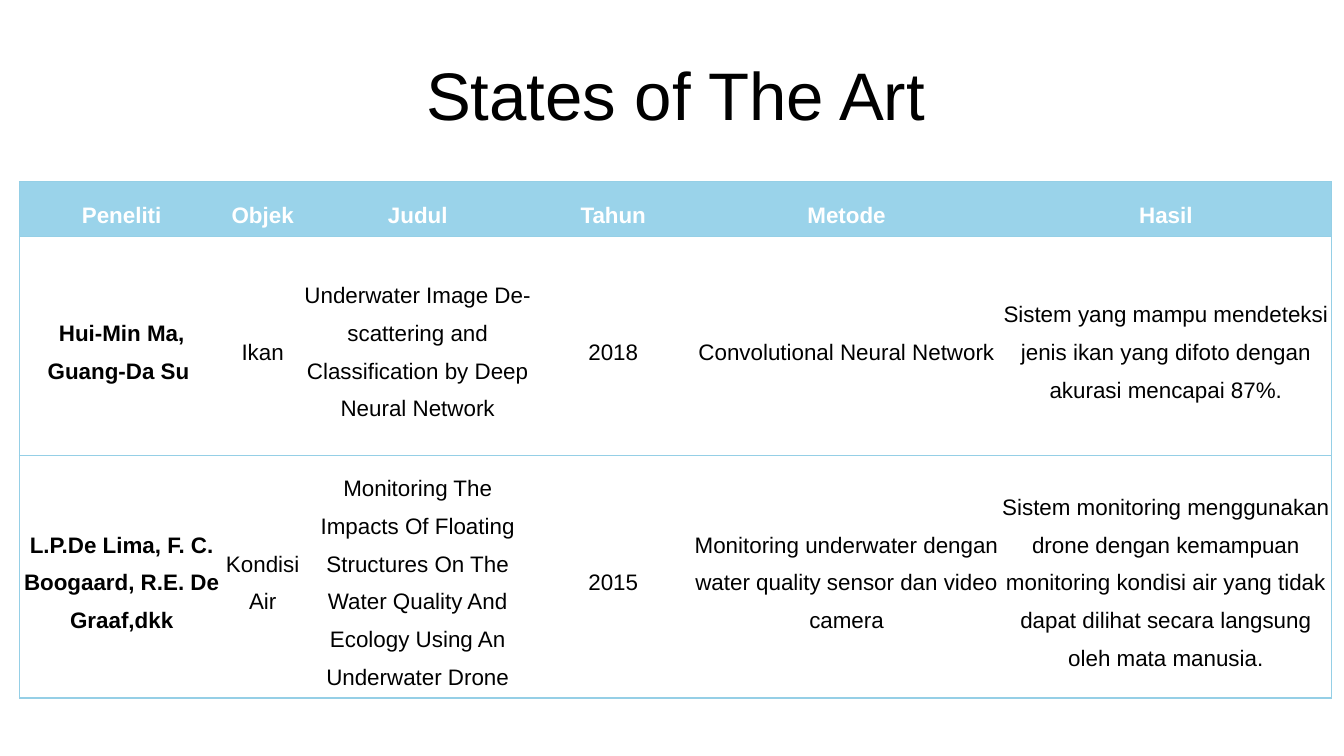
import pptx
import pptx.dml.color
import pptx.enum.text
import pptx.oxml
import pptx.oxml.ns
import pptx.util
from pptx.util import Cm

# Content
TITLE = "States of The Art"
ROWS = [
    ("Peneliti", "Objek", "Judul", "Tahun", "Metode", "Hasil"),
    ("Hui-Min Ma, Guang-Da Su ", "Ikan",
     "Underwater Image De-scattering and Classification by Deep Neural Network",
     "2018", "Convolutional Neural Network",
     "Sistem yang mampu mendeteksi jenis ikan yang difoto dengan akurasi mencapai 87%."),
    ("L.P.De Lima, F. C. Boogaard, R.E. De Graaf,dkk", "Kondisi Air",
     "Monitoring The Impacts Of Floating Structures On The Water Quality And Ecology "
     "Using An Underwater Drone",
     "2015", "Monitoring underwater dengan water quality sensor dan video camera",
     "Sistem monitoring menggunakan drone dengan kemampuan monitoring kondisi air yang "
     "tidak dapat dilihat secara langsung oleh mata manusia."),
]
COLUMN_WIDTHS = [3.86, 1.47, 4.39, 3.0, 5.82, 6.25]
ROW_HEIGHTS = [1.04, 4.14, 4.14]
COLORS = {"header": "9AD3EA", "border": "95CFE6", "text": "000000", "light": "FFFFFF"}
FONT = "Arial"


def color(name):
    return pptx.dml.color.RGBColor.from_string(COLORS[name])


def style_paragraph(para, size, color_name, bold=False):
    para.alignment = pptx.enum.text.PP_ALIGN.CENTER
    para.font.name = FONT
    para.font.size = pptx.util.Pt(size)
    para.font.bold = bold
    para.font.color.rgb = color(color_name)


def set_borders(cell, visible_sides):
    properties = cell._tc.get_or_add_tcPr()
    for side in "LRTB":
        if side in visible_sides:
            paint = f'<a:solidFill><a:srgbClr val="{COLORS["border"]}"/></a:solidFill>'
        else:
            paint = "<a:noFill/>"
        properties.append(pptx.oxml.parse_xml(
            f'<a:ln{side} {pptx.oxml.ns.nsdecls("a")} w="9525">{paint}</a:ln{side}>'))


deck = pptx.Presentation()
deck.slide_width, deck.slide_height = Cm(25.4), Cm(14.28)
page = deck.slides.add_slide(deck.slide_layouts[6])

# Title
box = page.shapes.add_textbox(Cm(3.56), Cm(0.86), Cm(18.42), Cm(1.8))
box.text_frame.word_wrap = True
box.text_frame.vertical_anchor = pptx.enum.text.MSO_ANCHOR.MIDDLE
box.text_frame.text = TITLE
style_paragraph(box.text_frame.paragraphs[0], 36, "text")

# Table grid
table = page.shapes.add_table(
    len(ROWS), len(COLUMN_WIDTHS), Cm(0.37), Cm(3.43),
    Cm(sum(COLUMN_WIDTHS)), Cm(sum(ROW_HEIGHTS))).table
table.horz_banding = False
for column, width in zip(table.columns, COLUMN_WIDTHS):
    column.width = Cm(width)
for row, height in zip(table.rows, ROW_HEIGHTS):
    row.height = Cm(height)

# Table cells: ruled between rows and around the outside
for r, texts in enumerate(ROWS):
    for c, text in enumerate(texts):
        cell = table.cell(r, c)
        is_header = r == 0
        cell.text = text
        cell.vertical_anchor = pptx.enum.text.MSO_ANCHOR.MIDDLE
        cell.margin_left = cell.margin_right = Cm(0.03)
        cell.margin_top = cell.margin_bottom = 0
        para = cell.text_frame.paragraphs[0]
        para.line_spacing = 1.5
        style_paragraph(para, 12, "light" if is_header else "text", is_header or c == 0)
        sides = "TB" + ("L" if c == 0 else "") + ("R" if c == len(texts) - 1 else "")
        set_borders(cell, sides)
        cell.fill.solid()
        cell.fill.fore_color.rgb = color("header" if is_header else "light")

deck.save("out.pptx")
